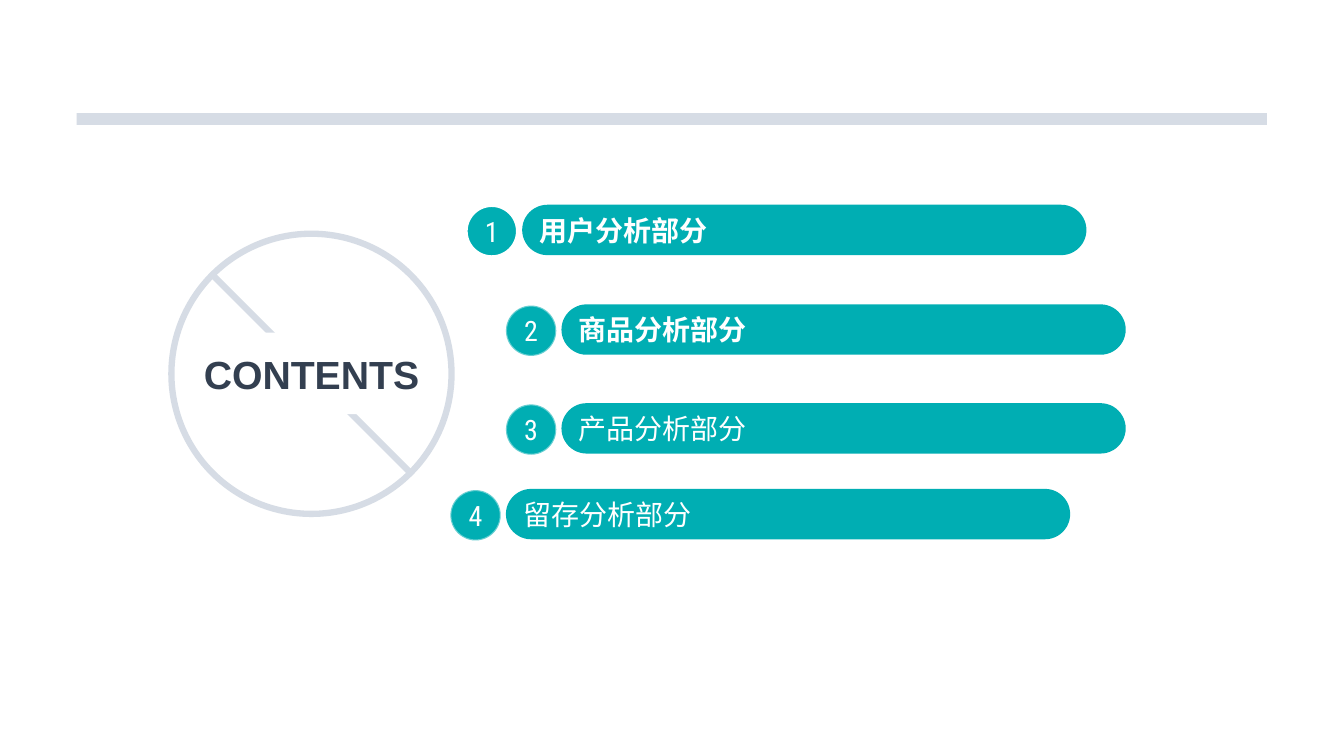
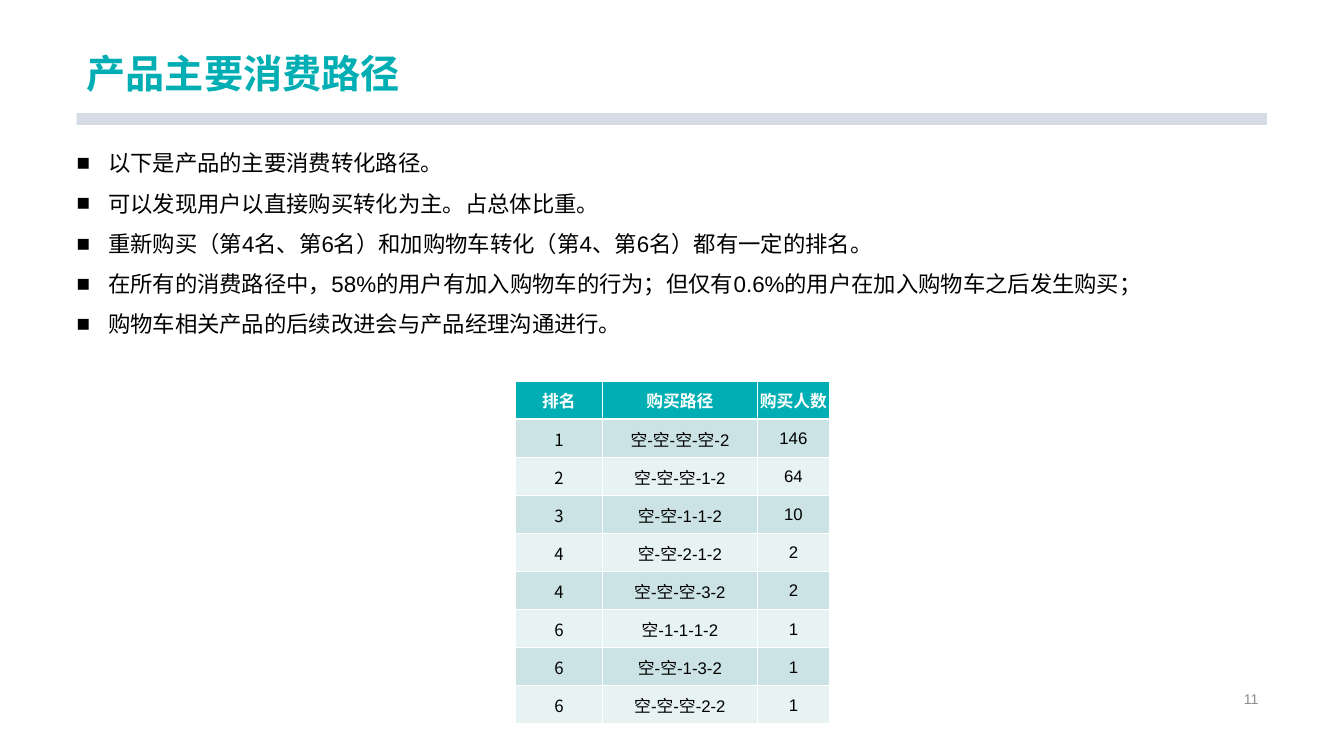
from lxml import etree
from pptx import Presentation
from pptx.dml.color import RGBColor
from pptx.enum.lang import MSO_LANGUAGE_ID
from pptx.enum.shapes import MSO_CONNECTOR, MSO_SHAPE
from pptx.enum.text import MSO_ANCHOR, MSO_AUTO_SIZE, PP_ALIGN
from pptx.oxml.ns import qn
from pptx.util import Cm, Pt

RECT, OVAL, PILL = MSO_SHAPE.RECTANGLE, MSO_SHAPE.OVAL, MSO_SHAPE.ROUNDED_RECTANGLE
STRAIGHT = MSO_CONNECTOR.STRAIGHT
LEFT, CENTER, RIGHT = PP_ALIGN.LEFT, PP_ALIGN.CENTER, PP_ALIGN.RIGHT
TOP, MIDDLE, BOTTOM = MSO_ANCHOR.TOP, MSO_ANCHOR.MIDDLE, MSO_ANCHOR.BOTTOM
FIXED = MSO_AUTO_SIZE.NONE
CHINESE = MSO_LANGUAGE_ID.SIMPLIFIED_CHINESE

COLORS = {
    "teal": "00AEB3", "band": "D6DCE5", "navy": "333F50", "white": "FFFFFF",
    "black": "000000", "gray": "8C8C8C", "row_dark": "CCE3E5", "row_light": "E7F2F2",
}
BODY_FONT, BADGE_FONT, RANK_FONT = "Arial", "Roboto Condensed", "Noto Sans CJK SC"
BLANK_LAYOUT, CONTENT_LAYOUT = 6, 1

CONTENTS_HEADING = "CONTENTS"
SECTIONS = [
    ("用户分析部分", 11.76, 5.16, True),
    ("商品分析部分", 12.75, 7.67, True),
    ("产品分析部分", 12.75, 10.16, False),
    ("留存分析部分", 11.35, 12.32, False),
]
PATH_TITLE = "产品主要消费路径"
FINDINGS = [
    "以下是产品的主要消费转化路径。",
    "可以发现用户以直接购买转化为主。占总体比重。",
    "重新购买（第4名、第6名）和加购物车转化（第4、第6名）都有一定的排名。",
    "在所有的消费路径中，58%的用户有加入购物车的行为；但仅有0.6%的用户在加入购物车之后发生购买；",
    "购物车相关产品的后续改进会与产品经理沟通进行。",
]
PATH_ROWS = [
    ("排名", "购买路径", "购买人数"),
    ("1", "空-空-空-空-2", "146"),
    ("2", "空-空-空-1-2", "64"),
    ("3", "空-空-1-1-2", "10"),
    ("4", "空-空-2-1-2", "2"),
    ("4", "空-空-空-3-2", "2"),
    ("6", "空-1-1-1-2", "1"),
    ("6", "空-空-1-3-2", "1"),
    ("6", "空-空-空-2-2", "1"),
]
PATH_COLUMNS = [2.21, 3.89, 1.83]
PATH_ROW_HEIGHT = 0.96
PAGE_NUMBER = "11"

MARGIN, BAND_WIDTH = 1.93, 30
CIRCLE_X, CIRCLE_Y, CIRCLE_SIZE, SLASH_REACH = 7.85, 9.42, 7.06, 2.5
PILL_WIDTH, PILL_HEIGHT, PILL_OFFSET = 14.22, 1.27, 1.4


def rgb(name):
    return RGBColor.from_string(COLORS[name])


def place(box, left, top, width, height):
    box.left, box.top, box.width, box.height = map(Cm, (left, top, width, height))


def write(paragraph, text, size, color, bold=False, font=BODY_FONT, align=LEFT):
    paragraph.alignment = align
    run = paragraph.add_run()
    run.text = text
    run.font.size, run.font.bold, run.font.name = Pt(size), bold, font
    run.font.color.rgb = rgb(color)
    run.font.language_id = CHINESE


def add_part(slide, preset, left, top, width, height, fill=None, line=None, line_width=1.5):
    part = slide.shapes.add_shape(preset, *map(Cm, (left, top, width, height)))
    part.shadow.inherit = False
    if fill:
        part.fill.solid()
        part.fill.fore_color.rgb = rgb(fill)
    else:
        part.fill.background()
    if line:
        part.line.color.rgb = rgb(line)
        part.line.width = Pt(line_width)
    else:
        part.line.fill.background()
    part.text_frame.vertical_anchor = MIDDLE
    part.text_frame.word_wrap = False
    return part


def add_slide(deck, layout):
    slide = deck.slides.add_slide(deck.slide_layouts[layout])
    add_part(slide, RECT, MARGIN, 2.85, BAND_WIDTH, 0.3, "band")
    return slide


def add_emblem(slide):
    slash = slide.shapes.add_connector(
        STRAIGHT, Cm(CIRCLE_X - SLASH_REACH), Cm(CIRCLE_Y - SLASH_REACH),
        Cm(CIRCLE_X + SLASH_REACH), Cm(CIRCLE_Y + SLASH_REACH))
    slash.line.color.rgb = rgb("band")
    slash.line.width = Pt(4.5)
    etree.SubElement(slash._element.spPr, qn("a:effectLst"))
    radius = CIRCLE_SIZE / 2
    add_part(slide, OVAL, CIRCLE_X - radius, CIRCLE_Y - radius,
             CIRCLE_SIZE, CIRCLE_SIZE, line="band", line_width=4.5)
    heading = add_part(slide, RECT, 4.8, 8.38, 6.1, 2.06, "white")
    write(heading.text_frame.paragraphs[0], CONTENTS_HEADING, 28, "navy", True, align=CENTER)


def add_section(slide, number, name, left, top, bold):
    badge = add_part(slide, OVAL, left, top + 0.03, PILL_HEIGHT, PILL_HEIGHT, "teal", "white")
    if number > 1:
        rim = badge.line._ln.find(".//" + qn("a:srgbClr"))
        etree.SubElement(rim, qn("a:alpha"), val="40000")
    write(badge.text_frame.paragraphs[0], str(number), 20, "white", font=BADGE_FONT, align=CENTER)
    pill = add_part(slide, PILL, left + PILL_OFFSET, top, PILL_WIDTH, PILL_HEIGHT, "teal")
    pill.adjustments[0] = 0.5
    write(pill.text_frame.paragraphs[0], name, 20, "white", bold)


def fill_title(slide, text):
    title = slide.shapes.title
    place(title, MARGIN, 0, BAND_WIDTH, 2.57)
    title.text_frame.vertical_anchor = BOTTOM
    title.text_frame.auto_size = FIXED
    paragraph = title.text_frame.paragraphs[0]
    paragraph.line_spacing = 0.9
    write(paragraph, text, 28, "teal", True)


def fill_findings(slide):
    body = slide.placeholders[1]
    place(body, 1.68, 3.3, 28.37, 5.26)
    frame = body.text_frame
    frame.vertical_anchor, frame.auto_size = TOP, FIXED
    for index, finding in enumerate(FINDINGS):
        paragraph = frame.add_paragraph() if index else frame.paragraphs[0]
        paragraph.line_spacing = 1.5
        paragraph.space_before = Pt(0)
        properties = paragraph._p.get_or_add_pPr()
        properties.set("marL", str(Cm(0.79)))
        properties.set("indent", str(-Cm(0.79)))
        etree.SubElement(properties, qn("a:buFont"), typeface=BODY_FONT)
        etree.SubElement(properties, qn("a:buChar"), char="■")
        write(paragraph, finding, 16, "black")


def add_path_table(slide):
    table = slide.shapes.add_table(
        len(PATH_ROWS), len(PATH_COLUMNS), Cm(12.98), Cm(9.6),
        Cm(sum(PATH_COLUMNS)), Cm(PATH_ROW_HEIGHT * len(PATH_ROWS))).table
    for column, width in zip(table.columns, PATH_COLUMNS):
        column.width = Cm(width)
    for row_index, values in enumerate(PATH_ROWS):
        header = row_index == 0
        fill = "teal" if header else ("row_light", "row_dark")[row_index % 2]
        table.rows[row_index].height = Cm(PATH_ROW_HEIGHT)
        for column_index, value in enumerate(values):
            cell = table.cell(row_index, column_index)
            cell.fill.solid()
            cell.fill.fore_color.rgb = rgb(fill)
            cell.vertical_anchor = MIDDLE
            cell.margin_left = cell.margin_right = cell.margin_top = Cm(0.03)
            cell.margin_bottom = 0
            font = RANK_FONT if column_index == 0 and not header else BODY_FONT
            write(cell.text_frame.paragraphs[0], value, 12,
                  "white" if header else "black", header, font, CENTER)


def add_page_number(slide):
    number = slide.shapes.add_textbox(Cm(23.93), Cm(17.32), Cm(8.03), Cm(0.58))
    number.text_frame.word_wrap = True
    number.text_frame.vertical_anchor = MIDDLE
    write(number.text_frame.paragraphs[0], PAGE_NUMBER, 10, "gray", align=RIGHT)


def main():
    deck = Presentation()
    deck.slide_width, deck.slide_height = Cm(33.87), Cm(19.05)

    contents = add_slide(deck, BLANK_LAYOUT)
    add_emblem(contents)
    for number, section in enumerate(SECTIONS, 1):
        add_section(contents, number, *section)

    paths = add_slide(deck, CONTENT_LAYOUT)
    fill_title(paths, PATH_TITLE)
    fill_findings(paths)
    add_page_number(paths)
    add_path_table(paths)

    deck.save("out.pptx")


if __name__ == "__main__":
    main()
